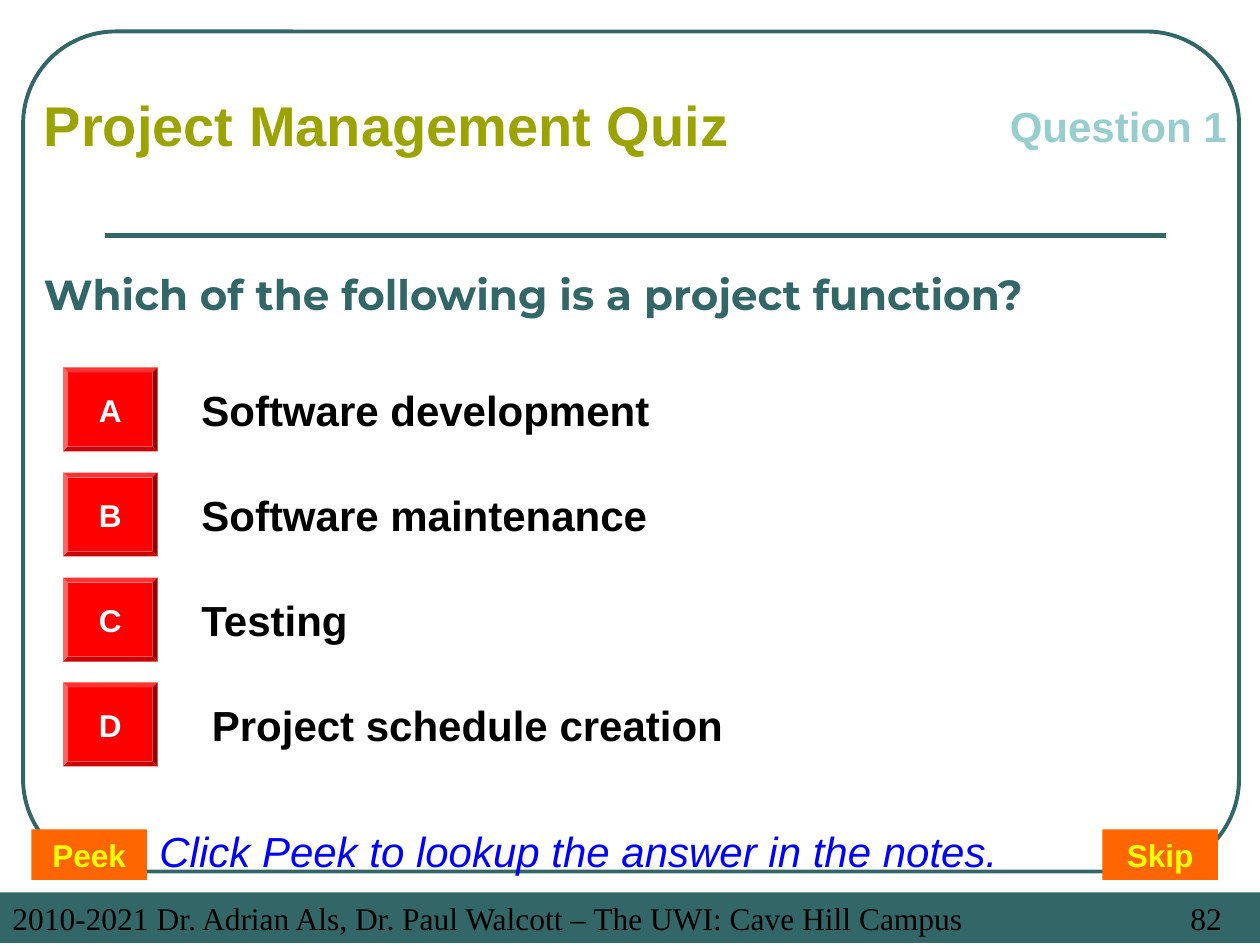
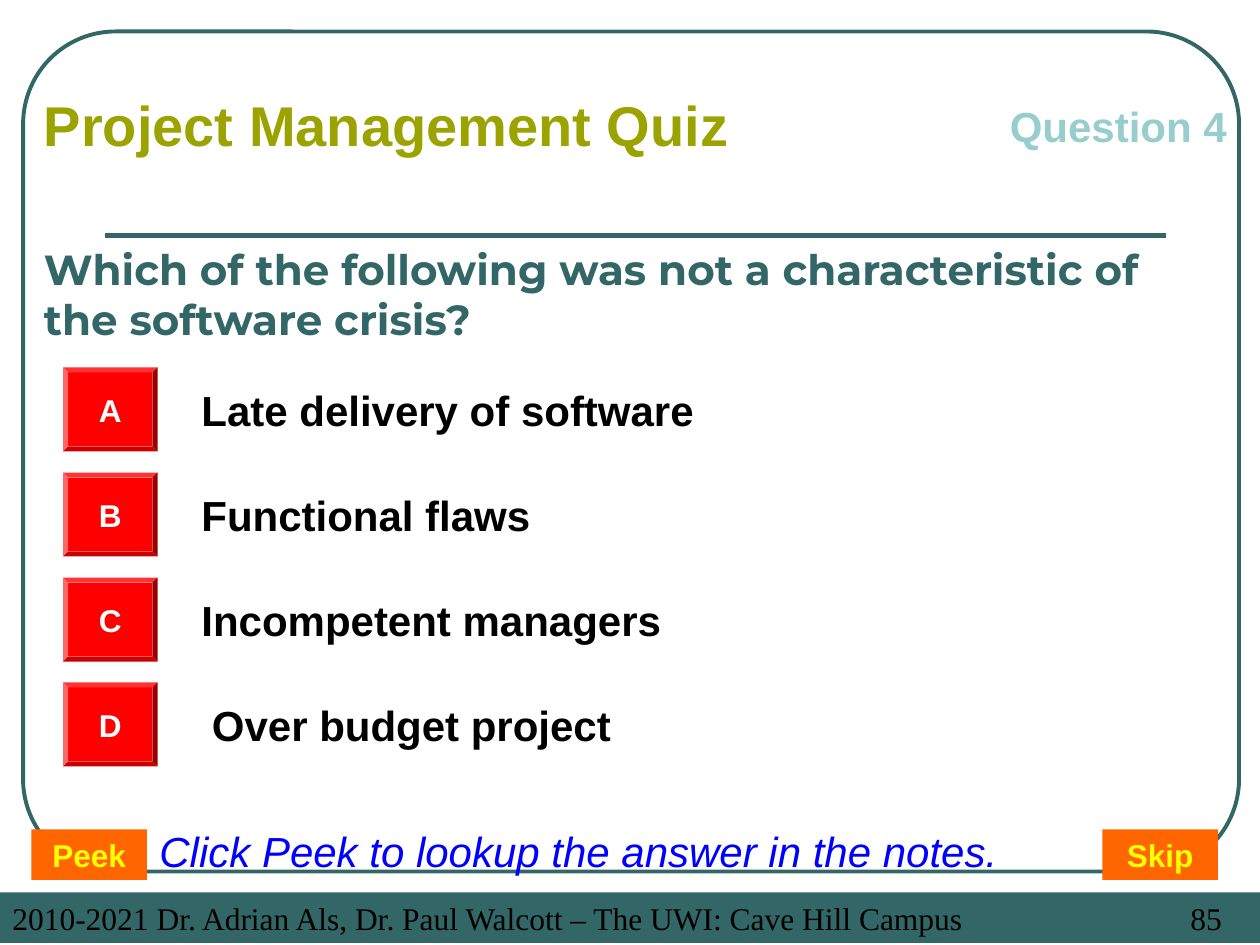
from dataclasses import dataclass

from lxml.etree import SubElement
from pptx import Presentation
from pptx.dml.color import RGBColor
from pptx.enum.shapes import MSO_CONNECTOR, MSO_SHAPE
from pptx.enum.text import MSO_ANCHOR, PP_ALIGN
from pptx.oxml.ns import qn
from pptx.shapes.base import BaseShape
from pptx.slide import Slide
from pptx.util import Inches, Pt

COLUMNS, ROWS = 120, 90
WIDTH, HEIGHT = Inches(10), Inches(7.5)
COLORS = {
    "teal": "336666",
    "pale": "97CDCC",
    "olive": "9BA301",
    "red": "FF0000",
    "orange": "FF6600",
    "yellow": "FFFF00",
    "blue": "0000FF",
    "black": "000000",
    "white": "FFFFFF",
}
FORMATS = {
    "heading": {"name": "Arial", "size": Pt(32), "bold": True},
    "question": {"name": "Montserrat", "size": Pt(24), "bold": True},
    "answer": {"name": "Arial", "size": Pt(24), "bold": True},
    "button": {"name": "Arial", "size": Pt(18), "bold": True},
    "hint": {"name": "Arial", "size": Pt(24), "italic": True},
    "footer": {"name": "Times New Roman", "size": Pt(18)},
}
FOOTER = "2010-2021 Dr. Adrian Als, Dr. Paul Walcott – The UWI: Cave Hill Campus"
FOOTER_TAB = Inches(9.6)
ANSWER_TOP, ANSWER_STEP = 35, 10


@dataclass(frozen=True)
class Area:
    column: float
    row: float
    columns: float
    rows: float

    def lengths(self) -> tuple[int, int, int, int]:
        return (across(self.column), down(self.row),
                across(self.columns), down(self.rows))


@dataclass(frozen=True)
class Label:
    text: str
    area: Area
    style: str
    color: str
    anchor: MSO_ANCHOR = MSO_ANCHOR.TOP


@dataclass(frozen=True)
class Button:
    label: Label
    fill: str
    kind: MSO_SHAPE = MSO_SHAPE.RECTANGLE
    align: PP_ALIGN = PP_ALIGN.CENTER


@dataclass(frozen=True)
class Quiz:
    number: int
    page_number: int
    question: str
    answers: tuple[str, ...]


QUIZZES = (
    Quiz(1, 82, "Which of the following is a project function?",
         ("Software development", "Software maintenance", "Testing",
          "Project schedule creation")),
    Quiz(4, 85, "Which of the following was not a characteristic of the software crisis?",
         ("Late delivery of software", "Functional flaws", "Incompetent managers",
          "Over budget project")),
)
HEADING = Label("Project Management Quiz", Area(3, 8, 78, 7.7), "heading", "olive")
HINT = Label("Click Peek to lookup the answer in the notes.",
             Area(14, 78, 86, 6), "hint", "blue")


def across(columns: float) -> int:
    return round(WIDTH * columns / COLUMNS)


def down(rows: float) -> int:
    return round(HEIGHT * rows / ROWS)


def color(name: str) -> RGBColor:
    return RGBColor.from_string(COLORS[name])


def write(box: BaseShape, label: Label, align: PP_ALIGN = PP_ALIGN.LEFT) -> None:
    frame = box.text_frame
    frame.word_wrap = True
    frame.vertical_anchor = label.anchor
    paragraph = frame.paragraphs[0]
    paragraph.alignment = align
    span = paragraph.add_run()
    span.text = label.text
    for attribute, value in FORMATS[label.style].items():
        setattr(span.font, attribute, value)
    span.font.color.rgb = color(label.color)


def draw_label(page: Slide, label: Label) -> None:
    write(page.shapes.add_textbox(*label.area.lengths()), label)


def draw_button(page: Slide, button: Button) -> BaseShape:
    box = page.shapes.add_shape(button.kind, *button.label.area.lengths())
    box.shadow.inherit = False
    box.fill.solid()
    box.fill.fore_color.rgb = color(button.fill)
    box.line.fill.background()
    write(box, button.label, button.align)
    return box


def draw_frame(page: Slide) -> None:
    border = page.shapes.add_shape(MSO_SHAPE.ROUNDED_RECTANGLE,
                                   *Area(2.2, 3, 115.8, 80).lengths())
    border.adjustments[0] = 0.11
    border.shadow.inherit = False
    border.fill.background()
    rule = page.shapes.add_connector(MSO_CONNECTOR.STRAIGHT, across(10), down(22.4),
                                     across(111), down(22.4))
    SubElement(rule._element.spPr, qn("a:effectLst"))
    for shape, weight in ((border, 2.25), (rule, 3)):
        shape.line.color.rgb = color("teal")
        shape.line.width = Pt(weight)


def draw_footer(page: Slide, page_number: int) -> None:
    label = Label(f"{FOOTER}\t{page_number}", Area(0, 85, COLUMNS, 4.8), "footer", "black")
    band = draw_button(page, Button(label, "teal", align=PP_ALIGN.LEFT))
    properties = band.text_frame.paragraphs[0]._p.get_or_add_pPr()
    tabs = SubElement(properties, qn("a:tabLst"))
    SubElement(tabs, qn("a:tab"), pos=str(FOOTER_TAB), algn="r")


def draw_answers(page: Slide, answers: tuple[str, ...]) -> None:
    for index, (letter, answer) in enumerate(zip("ABCD", answers)):
        top = ANSWER_TOP + index * ANSWER_STEP
        key = Label(letter, Area(6, top, 9, 8), "button", "white", MSO_ANCHOR.MIDDLE)
        bevel = draw_button(page, Button(key, "red", MSO_SHAPE.BEVEL))
        bevel.adjustments[0] = 0.06
        bevel.text_frame.word_wrap = False
        left = 19 if letter == "D" else 18
        draw_label(page, Label(answer, Area(left, top + 1, 99, 6), "answer", "black"))


def draw_quiz(page: Slide, quiz: Quiz) -> None:
    draw_frame(page)
    draw_footer(page, quiz.page_number)
    draw_label(page, Label(quiz.question, Area(3, 19, 114, 18), "question", "teal",
                           MSO_ANCHOR.MIDDLE))
    draw_answers(page, quiz.answers)
    draw_label(page, Label(f"Question {quiz.number}", Area(95, 9, 25, 6), "answer", "pale"))
    draw_label(page, HEADING)
    for text, left in (("Peek", 3), ("Skip", 105)):
        label = Label(text, Area(left, 79, 11, 4.8), "button", "yellow")
        draw_button(page, Button(label, "orange"))
    draw_label(page, HINT)


def main() -> None:
    deck = Presentation()
    deck.slide_width, deck.slide_height = WIDTH, HEIGHT
    for quiz in QUIZZES:
        draw_quiz(deck.slides.add_slide(deck.slide_layouts[6]), quiz)
    deck.save("out.pptx")


if __name__ == "__main__":
    main()
